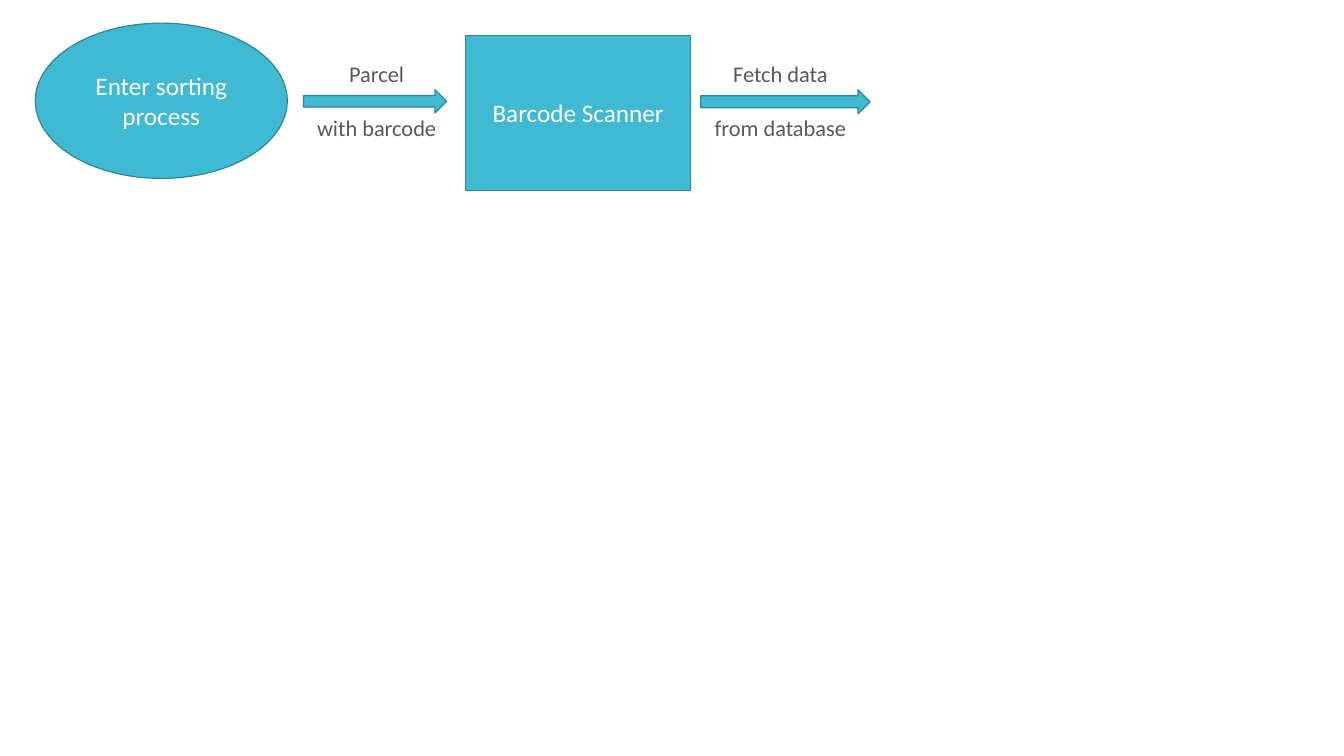
from dataclasses import dataclass

from pptx import Presentation
from pptx.dml.color import RGBColor
from pptx.enum.shapes import MSO_SHAPE as Preset
from pptx.enum.text import MSO_ANCHOR as Anchor, PP_ALIGN as Align
from pptx.shapes.autoshape import Shape
from pptx.slide import Slide
from pptx.util import Emu, Pt

EMU_PER_PX = 9144
SLIDE_SIZE = (1333, 750)
TEAL = RGBColor(0x40, 0xBA, 0xD2)
DARK_TEAL = RGBColor(0x2E, 0x87, 0x99)
WHITE = RGBColor(0xFF, 0xFF, 0xFF)
GREY = RGBColor(0x59, 0x59, 0x59)
FONT = "Calibri"
LABEL_TOP, LABEL_HEIGHT = 55, 91
ARROW_TOP = 89


@dataclass(frozen=True)
class Step:
    preset: Preset
    left: int
    top: int
    width: int
    height: int
    text: str


@dataclass(frozen=True)
class Flow:
    left: int
    width: int
    height: int
    label_left: int
    label_width: int
    label: tuple[str, str]


STEPS = (
    Step(Preset.OVAL, 35, 23, 250, 154, "Enter sorting process"),
    Step(Preset.RECTANGLE, 462, 35, 223, 154, "Barcode Scanner"),
)
FLOWS = (
    Flow(301, 142, 23, 294, 159, ("Parcel", "with barcode")),
    Flow(695, 168, 24, 694, 160, ("Fetch data", "from database")),
)


def px(length: int) -> Emu:
    return Emu(length * EMU_PER_PX)


def write_text(shape: Shape, *lines: str, size: int, color: RGBColor,
               anchor: Anchor, gap: float = 0) -> None:
    frame = shape.text_frame
    frame.word_wrap = True
    frame.vertical_anchor = anchor
    for index, line in enumerate(lines):
        paragraph = frame.add_paragraph() if index else frame.paragraphs[0]
        paragraph.alignment = Align.CENTER
        paragraph.space_before = Pt(gap if index else 0)
        run = paragraph.add_run()
        run.text = line
        run.font.name = FONT
        run.font.size = Pt(size)
        run.font.color.rgb = color


def add_teal_shape(slide: Slide, preset: Preset, left: int, top: int,
                   width: int, height: int) -> Shape:
    shape = slide.shapes.add_shape(preset, px(left), px(top), px(width), px(height))
    shape.shadow.inherit = False
    shape.fill.solid()
    shape.fill.fore_color.rgb = TEAL
    shape.line.color.rgb = DARK_TEAL
    shape.line.width = Pt(0.85)
    return shape


def draw_step(slide: Slide, step: Step) -> None:
    shape = add_teal_shape(slide, step.preset, step.left, step.top,
                           step.width, step.height)
    write_text(shape, step.text, size=18, color=WHITE, anchor=Anchor.MIDDLE)


def draw_flow(slide: Slide, flow: Flow) -> None:
    add_teal_shape(slide, Preset.RIGHT_ARROW, flow.left, ARROW_TOP,
                   flow.width, flow.height)
    label = slide.shapes.add_textbox(px(flow.label_left), px(LABEL_TOP),
                                     px(flow.label_width), px(LABEL_HEIGHT))
    write_text(label, *flow.label, size=16, color=GREY, anchor=Anchor.TOP, gap=19.5)


def main() -> None:
    deck = Presentation()
    deck.slide_width, deck.slide_height = map(px, SLIDE_SIZE)
    slide = deck.slides.add_slide(deck.slide_layouts[6])
    for step in STEPS:
        draw_step(slide, step)
    for flow in FLOWS:
        draw_flow(slide, flow)
    deck.save("out.pptx")


if __name__ == "__main__":
    main()
